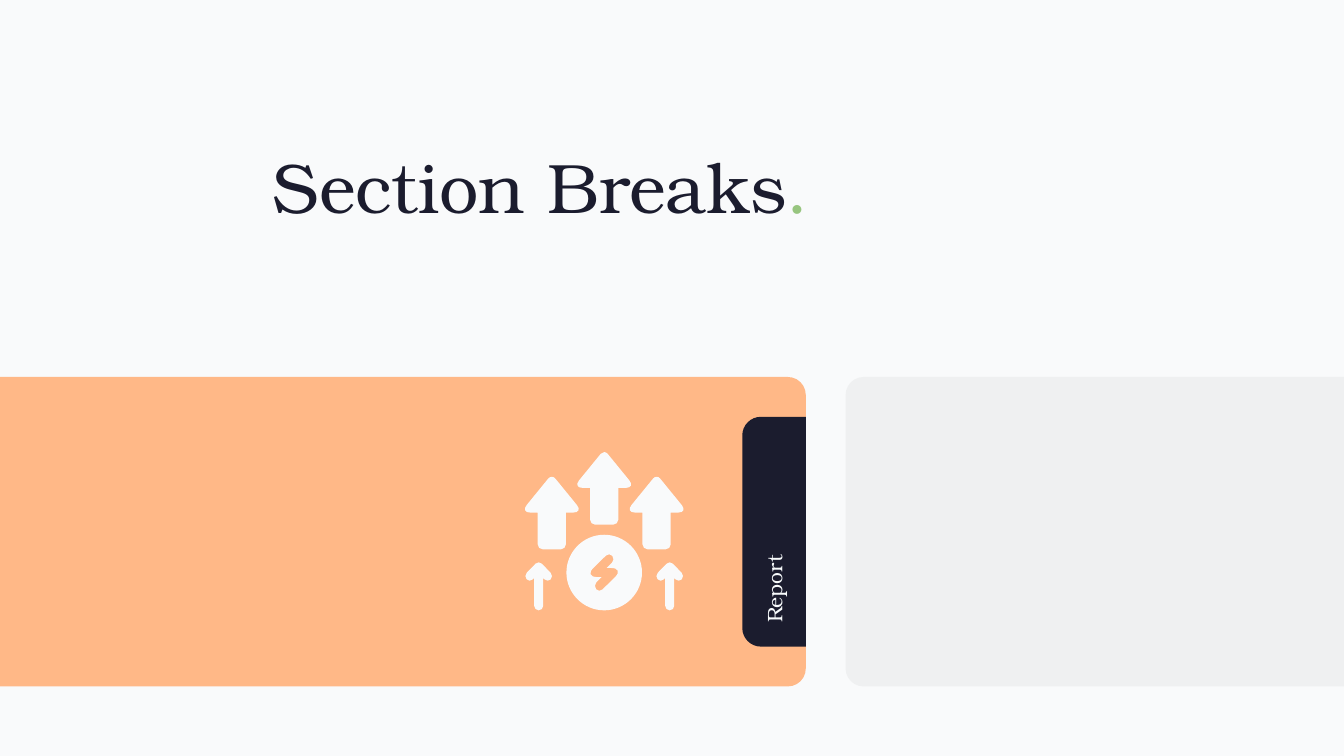
"""Build the "Section Breaks" slide with its report banner and growth icon."""
import math

import pptx
import pptx.dml.color
import pptx.enum.shapes
import pptx.enum.text
import pptx.oxml.ns
import pptx.util
from lxml import etree

Inches = pptx.util.Inches
qn = pptx.oxml.ns.qn
NAVY, PAPER, ORANGE = "1B1C2E", "F9FAFB", "FFB887"
ARC = 0.55


def paint(fill, color, opacity=100):
    fill.solid()
    fill.fore_color.rgb = pptx.dml.color.RGBColor.from_string(color)
    if opacity < 100:
        srgb = next(fill._xPr.iter(qn("a:srgbClr")))
        etree.SubElement(srgb, qn("a:alpha")).set("val", str(opacity * 1000))


def write(paragraph, text, size=30, color=NAVY, font="TeX Gyre Bonum"):
    run = paragraph.add_run()
    run.text = text
    run.font.name = font
    run.font.size = pptx.util.Pt(size)
    paint(run.font.fill, color)


def between(start, end, share=0.5):
    return tuple(a + (b - a) * share for a, b in zip(start, end))


def toward(start, end, distance):
    return between(start, end, distance / math.dist(start, end))


def rounded(corners):
    segments = []
    for i, (x, y, cut) in enumerate(corners):
        corner = (x, y)
        if not cut:
            segments.append([corner])
            continue
        enter = toward(corner, corners[i - 1][:2], cut)
        leave = toward(corner, corners[(i + 1) % len(corners)][:2], cut)
        first, second = between(enter, corner, ARC), between(leave, corner, ARC)
        crown = between(first, second)
        a, d = between(enter, first), between(second, leave)
        b, c = between(a, crown), between(crown, d)
        if not segments or math.dist(segments[-1][-1], enter) > 0.001:
            segments.append([enter])
        segments += [[a, b, between(b, c)], [c, d, leave]]
    return segments


def arrow(tip, side):
    mirrored = [(-x, y, cut) for x, y, cut in reversed(side)]
    return rounded([tip] + side + mirrored)


def shifted(segments, dx, dy):
    return [[(x + dx, y + dy) for x, y in points] for points in segments]


class SlideBuilder:
    def __init__(self, slide, background):
        self.slide = slide
        paint(slide.background.fill, background)

    def finish(self, shape, color, opacity=100):
        shape.shadow.inherit = False
        paint(shape.fill, color, opacity)
        shape.line.fill.background()

    def panel(self, left, top, width, height, color, opacity=100):
        kind = pptx.enum.shapes.MSO_SHAPE.ROUNDED_RECTANGLE
        shape = self.slide.shapes.add_shape(
            kind, Inches(left), Inches(top), Inches(width), Inches(height))
        shape.adjustments[0] = 0.058
        self.finish(shape, color, opacity)

    def outlines(self, contours, color):
        contours = [[[(Inches(x), Inches(y)) for x, y in points]
                     for points in contour] for contour in contours]
        builder = self.slide.shapes.build_freeform(*contours[0][0][0], scale=1.0)
        for i, contour in enumerate(contours):
            if i:
                builder.move_to(*contour[0][0])
            builder.add_line_segments([points[-1] for points in contour[1:]], close=True)
        shape = builder.convert_to_shape()
        self.bend(shape, [points for contour in contours for points in contour[1:]])
        self.finish(shape, color)

    def bend(self, shape, segments):
        lines = list(shape._element.iter(qn("a:lnTo")))
        for line, points in zip(lines, segments):
            if len(points) == 1:
                continue
            curve = etree.Element(qn("a:cubicBezTo"))
            for x, y in points:
                etree.SubElement(curve, qn("a:pt"), x=str(x - shape.left),
                                 y=str(y - shape.top))
            line.getparent().replace(line, curve)

    def text_box(self, left, top, width, height, align="LEFT", rotation=0):
        box = self.slide.shapes.add_textbox(
            Inches(left), Inches(top), Inches(width), Inches(height))
        box.rotation = rotation
        frame = box.text_frame
        frame.word_wrap = True
        frame.auto_size = pptx.enum.text.MSO_AUTO_SIZE.SHAPE_TO_FIT_TEXT
        frame.margin_left = frame.margin_right = Inches(0.06)
        frame.margin_top = frame.margin_bottom = Inches(0.06)
        paragraph = frame.paragraphs[0]
        paragraph.alignment = pptx.enum.text.PP_ALIGN[align]
        return paragraph


def growth_icon(center):
    big = arrow((0, -0.05, 0.11),
                [(0.62, 0.71, 0.19), (0.28, 0.71, 0), (0.28, 1.44, 0.1)])
    small = arrow((0, -0.04, 0.09),
                  [(0.3, 0.27, 0.09), (0.18, 0.4, 0.09), (0.09, 0.31, 0),
                   (0.09, 0.95, 0.09)])
    radius = 0.75
    coin = rounded([(x * radius, y * radius, radius)
                    for x, y in ((-1, -1), (1, -1), (1, 1), (-1, 1))])
    half = [(0.1, -0.4, 0.09), (0.22, -0.26, 0.09), (0.05, -0.09, 0),
            (0.4, -0.09, 0.26)]
    bolt = rounded(half + [(-x, -y, cut) for x, y, cut in half])
    contours = [shifted(big, center, 8.97)]
    for side in (-1, 1):
        contours.append(shifted(big, center + side * 1.04, 9.46))
        contours.append(shifted(small, center + side * 1.3, 11.16))
    return contours + [shifted(part, center, 11.36) for part in (coin, bolt)]


def main():
    deck = pptx.Presentation()
    deck.slide_width, deck.slide_height = Inches(26.67), Inches(15)
    page = SlideBuilder(deck.slides.add_slide(deck.slide_layouts[6]), PAPER)

    page.panel(-1.08, 7.48, 17.07, 6.14, ORANGE)
    tab = rounded([(15.99, 8.27, 0), (15.99, 12.83, 0),
                   (14.73, 12.83, 0.37), (14.73, 8.27, 0.37)])
    page.outlines([tab], NAVY)
    report = page.text_box(14.15, 10.9, 2.42, 0.62, rotation=270)
    write(report, "Report", color="F8FBFC")

    title = page.text_box(3.11, 2.79, 13, 1.8, align="RIGHT")
    write(title, "Section Breaks", size=100)
    write(title, ".", size=100, color="97C57F")

    page.panel(16.78, 7.48, 11.49, 6.14, "BBBDBB", opacity=15)
    page.outlines(growth_icon(11.99), PAPER)
    deck.save("out.pptx")


if __name__ == "__main__":
    main()
